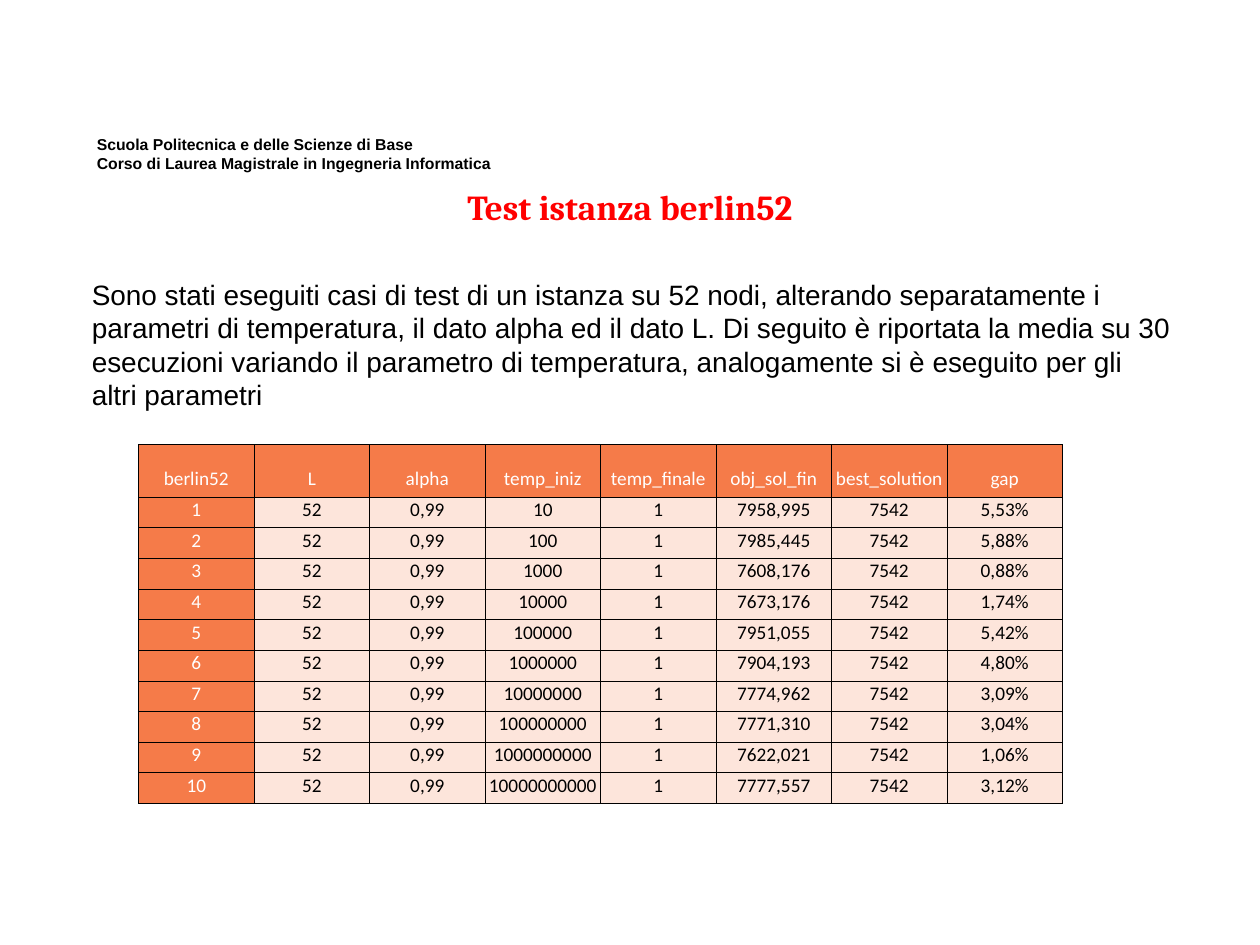
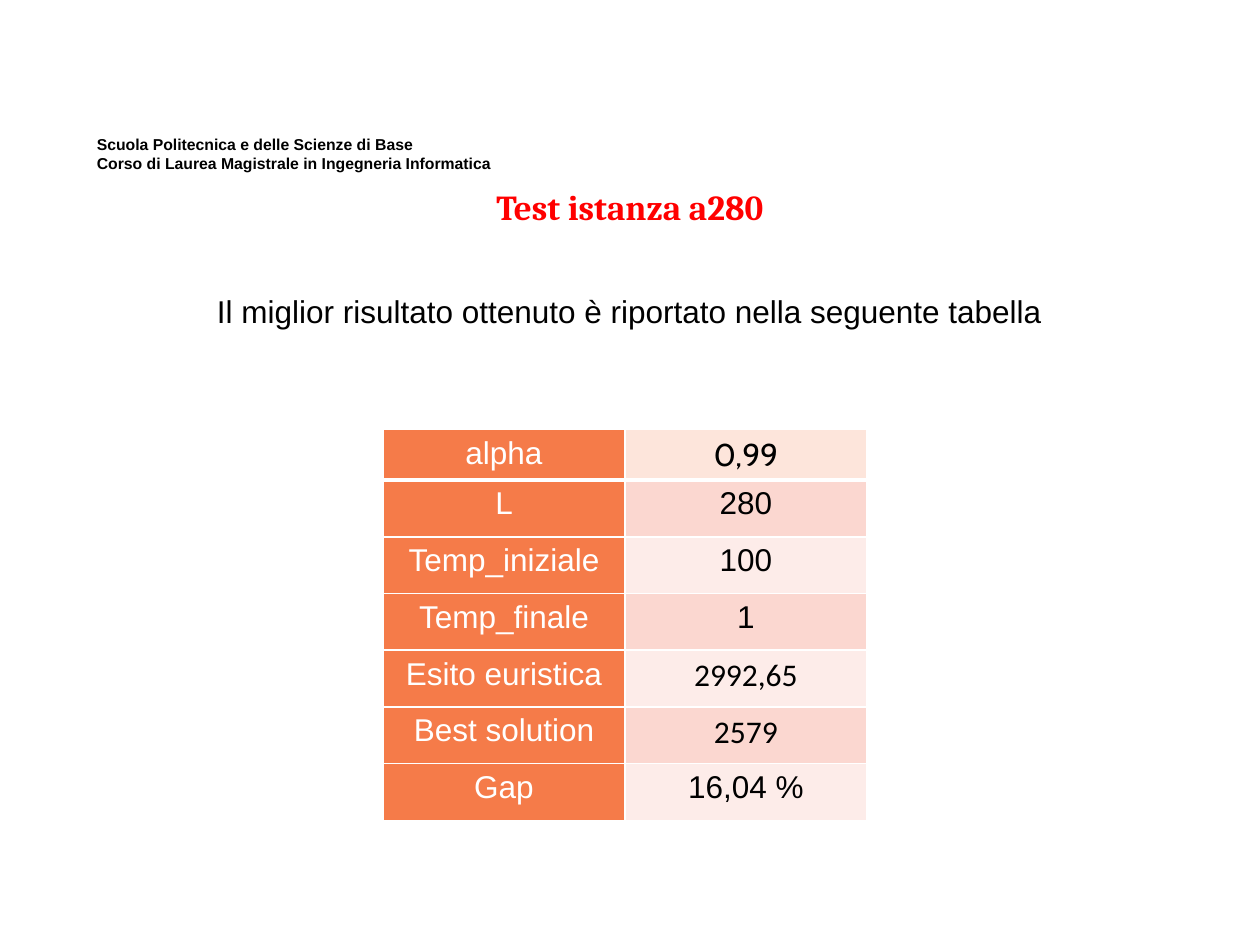
from dataclasses import dataclass

from lxml import etree
from pptx import Presentation
from pptx.dml.color import RGBColor
from pptx.enum.text import MSO_ANCHOR as Anchor, MSO_AUTO_SIZE as AutoSize, PP_ALIGN as Align
from pptx.oxml.ns import qn
from pptx.util import Pt

COLORS = {
    "text": "000000",
    "title": "FF0000",
    "white": "FFFFFF",
    "accent": "F57B49",
    "pale": "FDE5DB",
    "band_dark": "FBD7D0",
    "band_light": "FDECE9",
}


@dataclass(frozen=True)
class Box:
    left: float
    top: float
    width: float
    height: float

    def lengths(self) -> tuple:
        return Pt(self.left), Pt(self.top), Pt(self.width), Pt(self.height)


@dataclass(frozen=True)
class TextStyle:
    size: float
    font: str = "Arial"
    color: str = "text"
    bold: bool = False
    align: Align = Align.LEFT


@dataclass(frozen=True)
class Border:
    color: str
    width: float


TITLE_BOX = Box(36, 102.24, 648, 37.44)
TITLE_STYLE = TextStyle(20, "Cambria", "title", True, Align.CENTER)
SCHOOL_BOX = Box(48.24, 73.44, 300.24, 28.8)
SCHOOL_STYLE = TextStyle(9, bold=True)
SCHOOL_TEXT = ("Scuola Politecnica e delle Scienze di Base\n"
               "Corso di Laurea Magistrale in Ingegneria Informatica")

# Data of the berlin52 runs: the initial temperature grows tenfold each time
BERLIN_HEADERS = ["berlin52", "L", "alpha", "temp_iniz", "temp_finale",
                  "obj_sol_fin", "best_solution", "gap"]
BERLIN_RESULTS = [
    ("7958,995", "5,53%"), ("7985,445", "5,88%"), ("7608,176", "0,88%"),
    ("7673,176", "1,74%"), ("7951,055", "5,42%"), ("7904,193", "4,80%"),
    ("7774,962", "3,09%"), ("7771,310", "3,04%"), ("7622,021", "1,06%"),
    ("7777,557", "3,12%"),
]

# Data of the a280 run: label, value, font of the value
A280_ROWS = [
    ("alpha", "0,99", "Cabin"),
    ("L", "280", "Arial"),
    ("Temp_iniziale", "100", "Arial"),
    ("Temp_finale", "1", "Arial"),
    ("Esito euristica", "2992,65", "Calibri"),
    ("Best solution", "2579", "Calibri"),
    ("Gap", "16,04 %", "Arial"),
]


def write(text_frame, text: str, style: TextStyle) -> None:
    text_frame.text = text
    for paragraph in text_frame.paragraphs:
        paragraph.alignment = style.align
        for run in paragraph.runs:
            run.font.size = Pt(style.size)
            run.font.name = style.font
            run.font.bold = style.bold
            run.font.color.rgb = RGBColor.from_string(COLORS[style.color])


def add_text(slide, box: Box, text: str, style: TextStyle) -> None:
    text_frame = slide.shapes.add_textbox(*box.lengths()).text_frame
    text_frame.word_wrap = True
    write(text_frame, text, style)


def add_titled_slide(presentation, title_text: str):
    slide = presentation.slides.add_slide(presentation.slide_layouts[5])
    title = slide.shapes.title
    title.left, title.top, title.width, title.height = TITLE_BOX.lengths()
    title.text_frame.auto_size = AutoSize.NONE
    title.text_frame.vertical_anchor = Anchor.TOP
    write(title.text_frame, title_text, TITLE_STYLE)
    add_text(slide, SCHOOL_BOX, SCHOOL_TEXT, SCHOOL_STYLE)
    return slide


def add_plain_table(slide, box: Box, row_heights: list[float], column_count: int):
    table = slide.shapes.add_table(len(row_heights), column_count, *box.lengths()).table
    table.first_row = table.horz_banding = False
    for column in table.columns:
        column.width = Pt(box.width / column_count)
    for row, height in zip(table.rows, row_heights):
        row.height = Pt(height)
    return table


def fill_cell(cell, text: str, style: TextStyle, fill: str) -> None:
    write(cell.text_frame, text, style)
    cell.fill.solid()
    cell.fill.fore_color.rgb = RGBColor.from_string(COLORS[fill])


def set_borders(cell, left: Border, right: Border, top: Border, bottom: Border) -> None:
    # Border lines come before the fill in the cell properties
    properties = cell._tc.get_or_add_tcPr()
    sides = zip(("a:lnL", "a:lnR", "a:lnT", "a:lnB"), (left, right, top, bottom))
    for index, (tag, border) in enumerate(sides):
        line = etree.Element(qn(tag), w=str(Pt(border.width)))
        solid = etree.SubElement(line, qn("a:solidFill"))
        etree.SubElement(solid, qn("a:srgbClr"), val=COLORS[border.color])
        properties.insert(index, line)


def build_berlin_slide(presentation) -> None:
    slide = add_titled_slide(presentation, "Test istanza berlin52")
    add_text(slide, Box(45.36, 154.8, 632.88, 84.96),
             "Sono stati eseguiti casi di test di un istanza su 52 nodi, alterando "
             "separatamente i parametri di temperatura, il dato alpha ed il dato L. "
             "Di seguito è riportata la media su 30 esecuzioni variando il parametro "
             "di temperatura, analogamente si è eseguito per gli altri parametri",
             TextStyle(16))

    rows = [BERLIN_HEADERS] + [
        [str(number), "52", "0,99", str(10 ** number), "1", objective, "7542", gap]
        for number, (objective, gap) in enumerate(BERLIN_RESULTS, start=1)
    ]
    heights = [30] + [17.5] * len(BERLIN_RESULTS)
    table = add_plain_table(slide, Box(79.2, 254.16, 528, sum(heights)),
                            heights, len(BERLIN_HEADERS))
    border = Border("text", 0.5)
    for row_index, row in enumerate(rows):
        for column_index, text in enumerate(row):
            is_header = row_index == 0 or column_index == 0
            style = TextStyle(11, "Calibri", "white" if is_header else "text",
                              align=Align.CENTER)
            cell = table.cell(row_index, column_index)
            fill_cell(cell, text, style, "accent" if is_header else "pale")
            cell.vertical_anchor = Anchor.BOTTOM
            cell.margin_left = cell.margin_top = cell.margin_right = Pt(0.6)
            cell.margin_bottom = Pt(3.6)
            set_borders(cell, border, border, border, border)


def build_a280_slide(presentation) -> None:
    slide = add_titled_slide(presentation, "Test istanza a280")
    add_text(slide, Box(38.16, 163.44, 642.96, 28.8),
             "Il miglior risultato ottenuto è riportato nella seguente tabella",
             TextStyle(18, align=Align.CENTER))

    heights = [28.8] + [32.4] * (len(A280_ROWS) - 1)
    table = add_plain_table(slide, Box(218.88, 245.52, 276.48, sum(heights)), heights, 2)
    thin, thick = Border("white", 1), Border("white", 3)
    for index, (label, value, value_font) in enumerate(A280_ROWS):
        band = "band_dark" if index % 2 else "band_light"
        label_cell, value_cell = table.cell(index, 0), table.cell(index, 1)
        fill_cell(label_cell, label,
                  TextStyle(18, color="white", align=Align.CENTER), "accent")
        fill_cell(value_cell, value, TextStyle(18, value_font, align=Align.CENTER),
                  band if index else "pale")
        # The thick line lies between the first two rows
        for cell in (label_cell, value_cell):
            set_borders(cell, thin, thin, thick if index == 1 else thin,
                        thick if index == 0 else thin)


def main() -> None:
    presentation = Presentation()
    presentation.slide_width, presentation.slide_height = Pt(720), Pt(540)
    build_berlin_slide(presentation)
    build_a280_slide(presentation)
    presentation.save("out.pptx")


if __name__ == "__main__":
    main()
